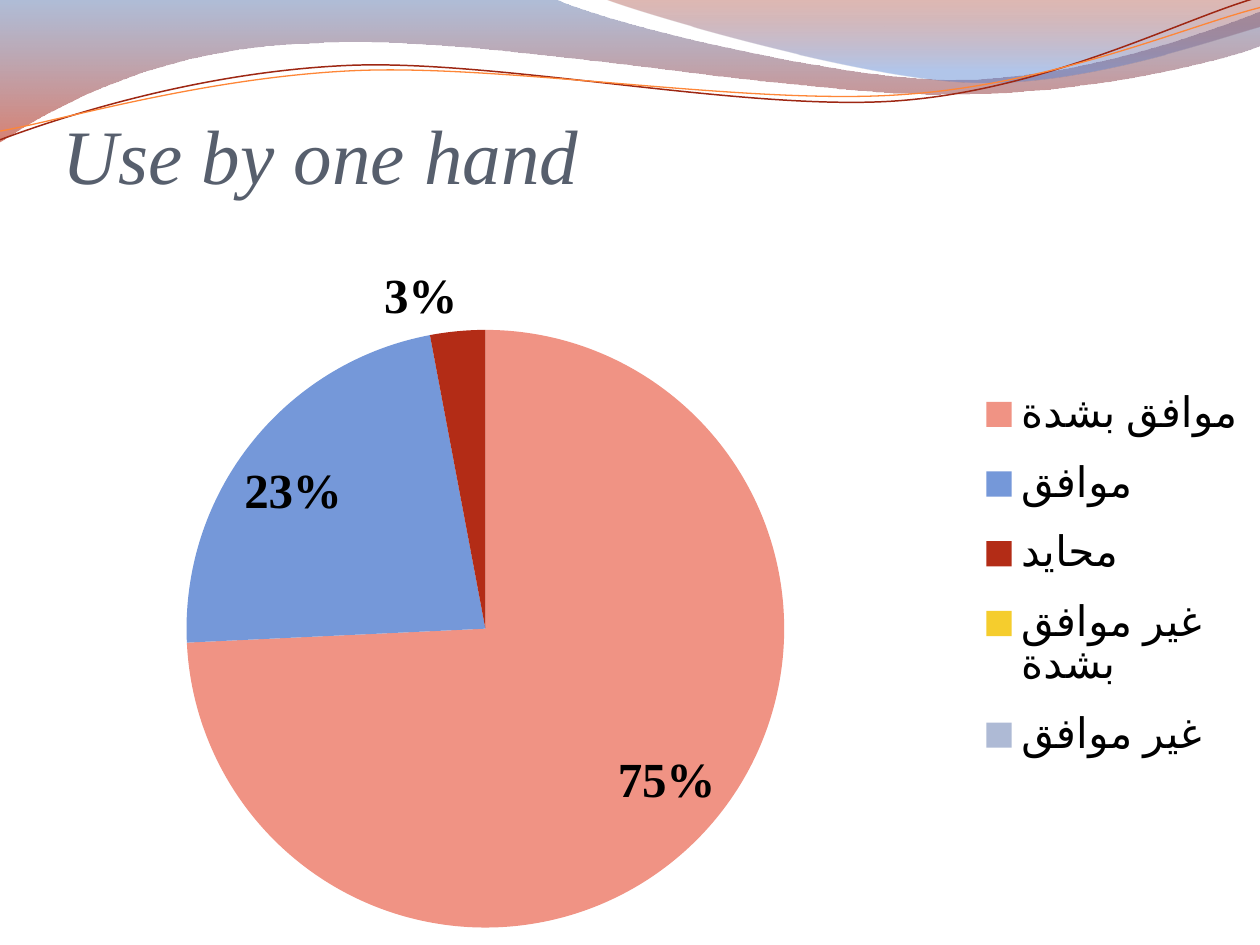
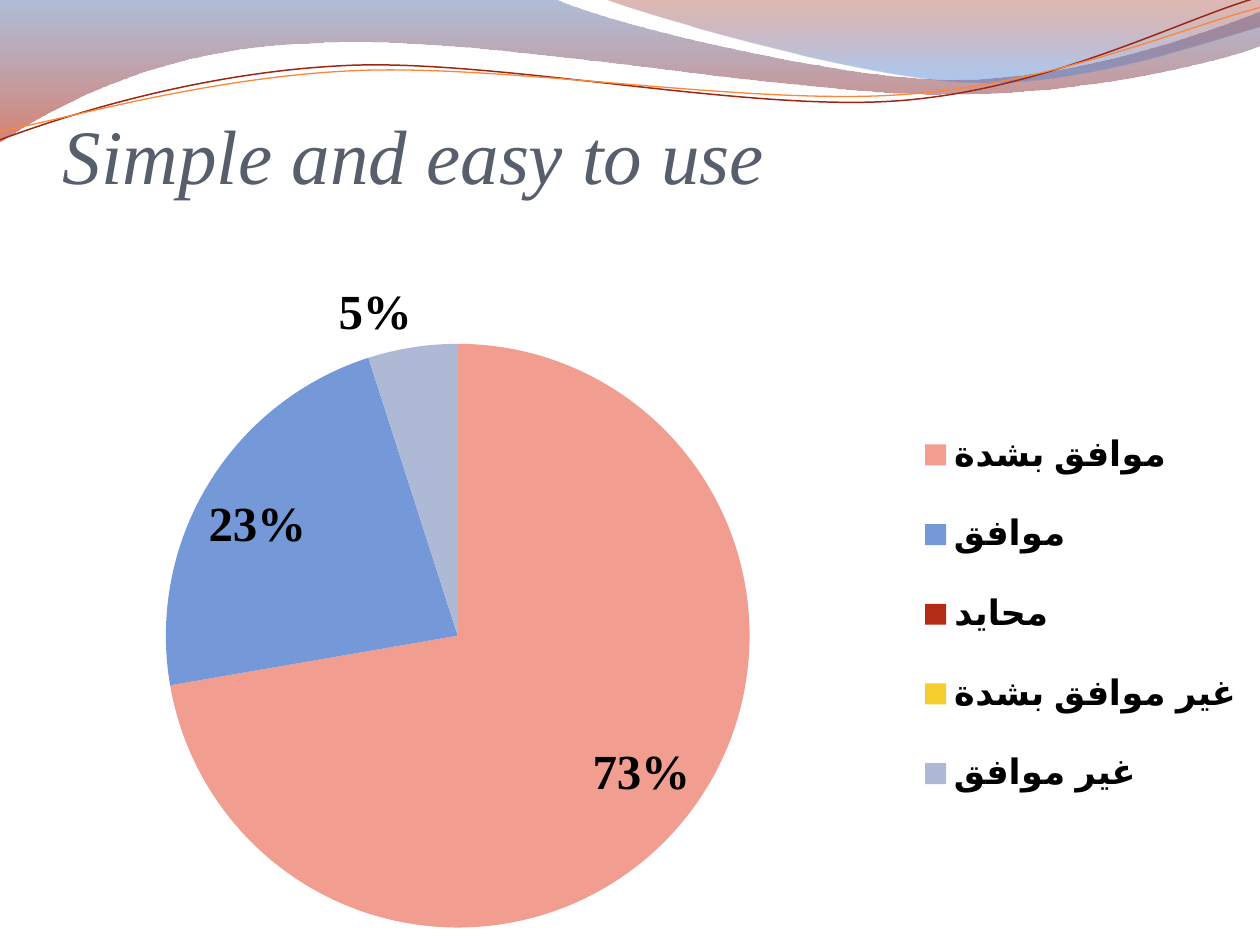
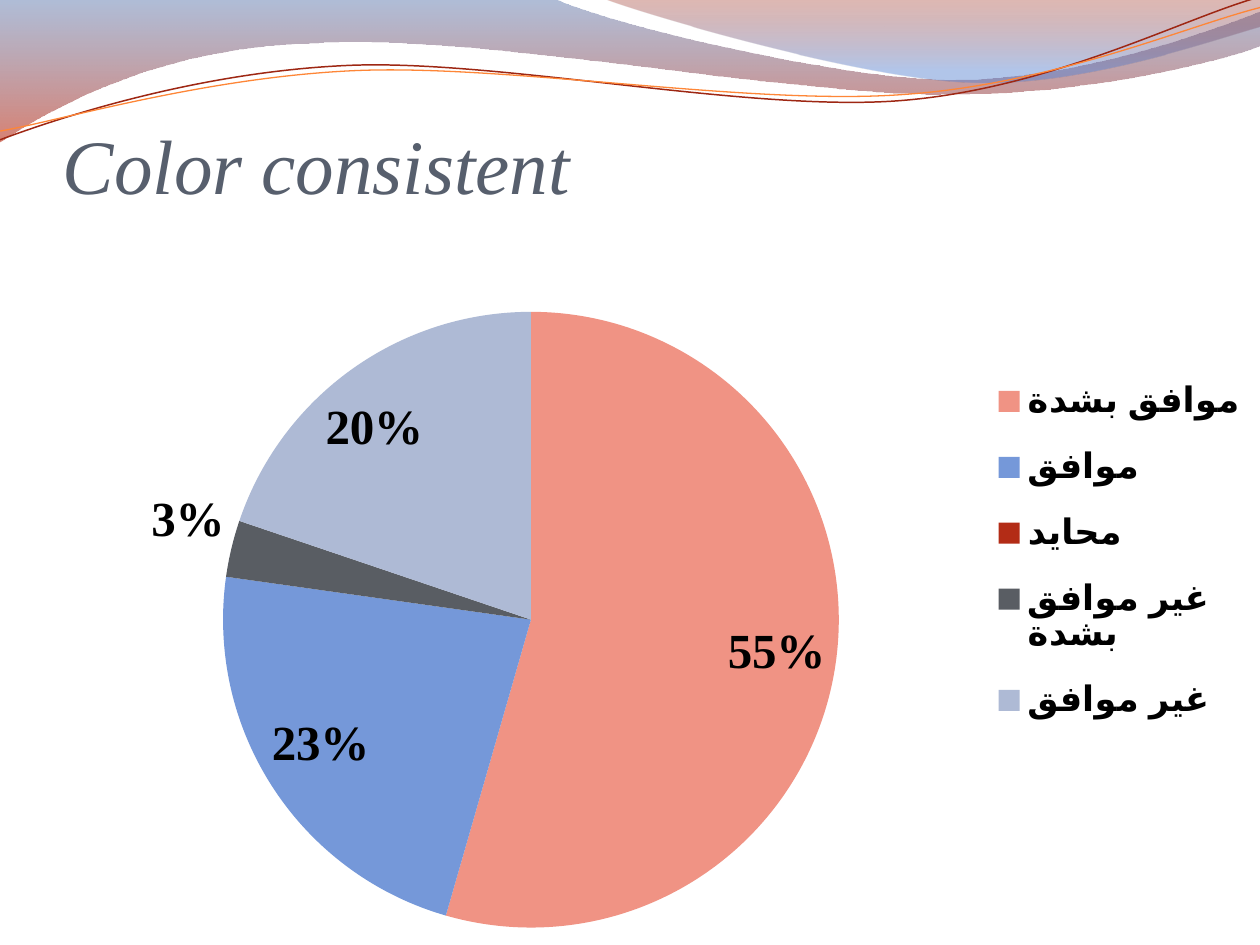
from lxml.etree import Element, SubElement
from pptx import Presentation
from pptx.chart.data import CategoryChartData
from pptx.dml.color import RGBColor
from pptx.enum.chart import XL_CHART_TYPE as ChartType
from pptx.enum.chart import XL_LABEL_POSITION as LabelPosition
from pptx.enum.chart import XL_LEGEND_POSITION as LegendPosition
from pptx.enum.text import MSO_ANCHOR as Anchor
from pptx.oxml.ns import qn
from pptx.util import Pt

WIDTH, HEIGHT = 720, 540
TITLE_FONT, CHART_FONT = "Times New Roman", "Vollkorn"
TITLE_COLOR, TEXT_COLOR = "575F6D", "000000"
SALMON, BLUE, RED, YELLOW, LAVENDER = "F09384", "7598D9", "B32C16", "F5CD2D", "AEBAD5"
CATEGORIES = ["موافق بشدة", "موافق", "محايد", "غير موافق بشدة", "غير موافق"]

# Outlines in points: a pair is a straight step, six numbers are a Bezier curve.
WAVES = [
    ([(0, 0), (316.8, -0.7),
      (342.7, 12.2, 478.1, 45.4, 545.8, 45.4),
      (614.2, 45.4, 689.8, 18.7, 720, 6.5),
      (720.7, 25.9),
      (707.8, 31.7, 626.4, 54.7, 537.1, 54),
      (447.8, 54, 275, 20.2, 185, 24.5),
      (92.9, 25.9, 33.1, 59.8, -0.7, 81.4)],
     [(0, "4F6EA8", 45), (1, "B61A00", 55)]),
    ([(344.9, -0.7),
      (366.5, 7.9, 491, 44.6, 553.7, 46.8),
      (616.3, 49.7, 691.9, 23, 720, 15.1),
      (720, 0)],
     [(0, "951500", 30), (0.8, "5681D1", 45)]),
]
STRANDS = [
    ([(0, 79.9),
      (34.6, 67, 113.8, 41, 199.4, 37.4),
      (284.4, 33.8, 427, 64.1, 513.4, 57.6),
      (599.8, 51.1, 675.4, 10.8, 718.6, -1.4)], "9E2713", 0.85),
    ([(0, 74.9),
      (33.8, 69.1, 118.1, 43.9, 203.8, 40.3),
      (290.2, 36.7, 429.8, 60.5, 516.2, 54),
      (601.9, 48.2, 677.5, 15.1, 720, 4.3)], "FE8637", 0.75),
]

# Title, title height, chart top, legend style, legend box, slice values, slice colours.
# A legend box is left, top, width and height in points within the chart.
SLIDES = [
    ("Use by one hand", 58.8, 144, (24, False, CHART_FONT), (556, 65, 159, 239),
     [75, 23, 3, 0, 0], [SALMON, BLUE, RED, YELLOW, LAVENDER]),
    ("Simple and easy to use", 58.8, 152.6, (20, True, TITLE_FONT), (522, 72, 191, 253),
     [73, 23, 0, 0, 5], ["F19E91", BLUE, RED, YELLOW, LAVENDER]),
    ("Color consistent", 64.8, 149.8, (20, True, TITLE_FONT), (563, 52, 153, 226),
     [55, 23, 0, 3, 20], [SALMON, BLUE, RED, "595D63", LAVENDER]),
]


def color(hex_string):
    return RGBColor.from_string(hex_string)


def style_font(font, size, name, hex_string=TEXT_COLOR, bold=False, italic=False):
    font.size, font.name = Pt(size), name
    font.bold, font.italic = bold, italic
    font.color.rgb = color(hex_string)


def add_outline(slide, outline, close):
    """Draw all points as straight steps, then join each curve's three into a Bezier."""
    points = [(Pt(step[i]), Pt(step[i + 1]))
              for step in outline for i in range(0, len(step), 2)]
    builder = slide.shapes.build_freeform(*points[0])
    builder.add_line_segments(points[1:], close=close)
    shape = builder.convert_to_shape()
    shape.shadow.inherit = False
    straight_steps = iter(list(shape._element.spPr.iter(qn("a:lnTo"))))
    for step in outline[1:]:
        line = next(straight_steps)
        if len(step) == 6:
            curve = Element(qn("a:cubicBezTo"))
            line.addprevious(curve)
            for part in (line, next(straight_steps), next(straight_steps)):
                curve.append(part[0])
                part.getparent().remove(part)
    return shape


def fill_downward(shape, stops):
    """Fill from top to bottom with stops of position, colour and opacity."""
    shape.fill.gradient()
    shape.fill.gradient_angle = 270
    for stop, (position, hex_string, _) in zip(shape.fill.gradient_stops, stops):
        stop.position = position
        stop.color.rgb = color(hex_string)
    colors = shape._element.spPr.iter(qn("a:srgbClr"))
    for element, (_, _, opacity) in zip(list(colors), stops):
        SubElement(element, qn("a:alpha"), val=str(opacity * 1000))


def add_wave_band(slide, layout):
    """Draw the band on the slide and move it to the layout that all slides share."""
    band = []
    for outline, stops in WAVES:
        wave = add_outline(slide, outline, close=True)
        fill_downward(wave, stops)
        wave.line.fill.background()
        band.append(wave)
    for outline, hex_string, width in STRANDS:
        strand = add_outline(slide, outline, close=False)
        strand.fill.background()
        strand.line.color.rgb = color(hex_string)
        strand.line.width = Pt(width)
        band.append(strand)
    for shape in band:
        layout.shapes._spTree.append(shape._element)


def add_title(slide, text, left, top, width, height):
    box = slide.shapes.add_textbox(Pt(left), Pt(top), Pt(width), Pt(height))
    frame = box.text_frame
    frame.word_wrap = True
    frame.vertical_anchor = Anchor.BOTTOM
    frame.margin_left = frame.margin_right = frame.margin_bottom = 0
    frame.margin_top = Pt(3.6)
    run = frame.paragraphs[0].add_run()
    run.text = text
    style_font(run.font, 44, TITLE_FONT, TITLE_COLOR, italic=True)


def hide_labels(labels, indexes):
    for place, index in enumerate(indexes):
        label = Element(qn("c:dLbl"))
        SubElement(label, qn("c:idx"), val=str(index))
        SubElement(label, qn("c:delete"), val="1")
        labels._element.insert(place, label)


def place_legend(legend, box, width, height):
    element = legend._element
    for old_layout in element.findall(qn("c:layout")):
        element.remove(old_layout)
    layout = Element(qn("c:layout"))
    element.find(qn("c:legendPos")).addnext(layout)
    manual = SubElement(layout, qn("c:manualLayout"))
    for name in ("xMode", "yMode"):
        SubElement(manual, qn("c:" + name), val="edge")
    for name, length, whole in zip("xywh", box, (width, height) * 2):
        SubElement(manual, qn("c:" + name), val=str(round(length / whole, 4)))


def add_answer_pie(slide, values, colors, legend_style, legend_box, left, top, width, height):
    data = CategoryChartData()
    data.categories = CATEGORIES
    data.add_series("Series 1", values)
    chart = slide.shapes.add_chart(
        ChartType.PIE, Pt(left), Pt(top), Pt(width), Pt(height), data).chart
    chart.has_title = False
    style_font(chart.font, 18, CHART_FONT)

    chart.has_legend = True
    chart.legend.position = LegendPosition.RIGHT
    chart.legend.include_in_layout = False
    size, bold, name = legend_style
    style_font(chart.legend.font, size, name, bold=bold)
    place_legend(chart.legend, legend_box, width, height)

    chart.plots[0].vary_by_categories = True
    series = chart.plots[0].series[0]
    for index, hex_string in enumerate(colors):
        fill = series.points[index].format.fill
        fill.solid()
        fill.fore_color.rgb = color(hex_string)

    labels = series.data_labels
    labels.show_value = True
    labels.number_format, labels.number_format_is_linked = '0"%"', False
    labels.position = LabelPosition.BEST_FIT
    style_font(labels.font, 28, TITLE_FONT, bold=True)
    hide_labels(labels, [i for i, value in enumerate(values) if value == 0])


def main():
    presentation = Presentation()
    presentation.slide_width, presentation.slide_height = Pt(WIDTH), Pt(HEIGHT)
    blank = presentation.slide_layouts[6]
    for number, content in enumerate(SLIDES):
        title, title_height, chart_top, legend_style, legend_box, values, colors = content
        slide = presentation.slides.add_slide(blank)
        if number == 0:
            add_wave_band(slide, blank)
        add_title(slide, title, 36, 55.4, 648, title_height)
        add_answer_pie(slide, values, colors, legend_style, legend_box,
                       0, chart_top, WIDTH, HEIGHT - chart_top)
    presentation.save("out.pptx")


if __name__ == "__main__":
    main()
